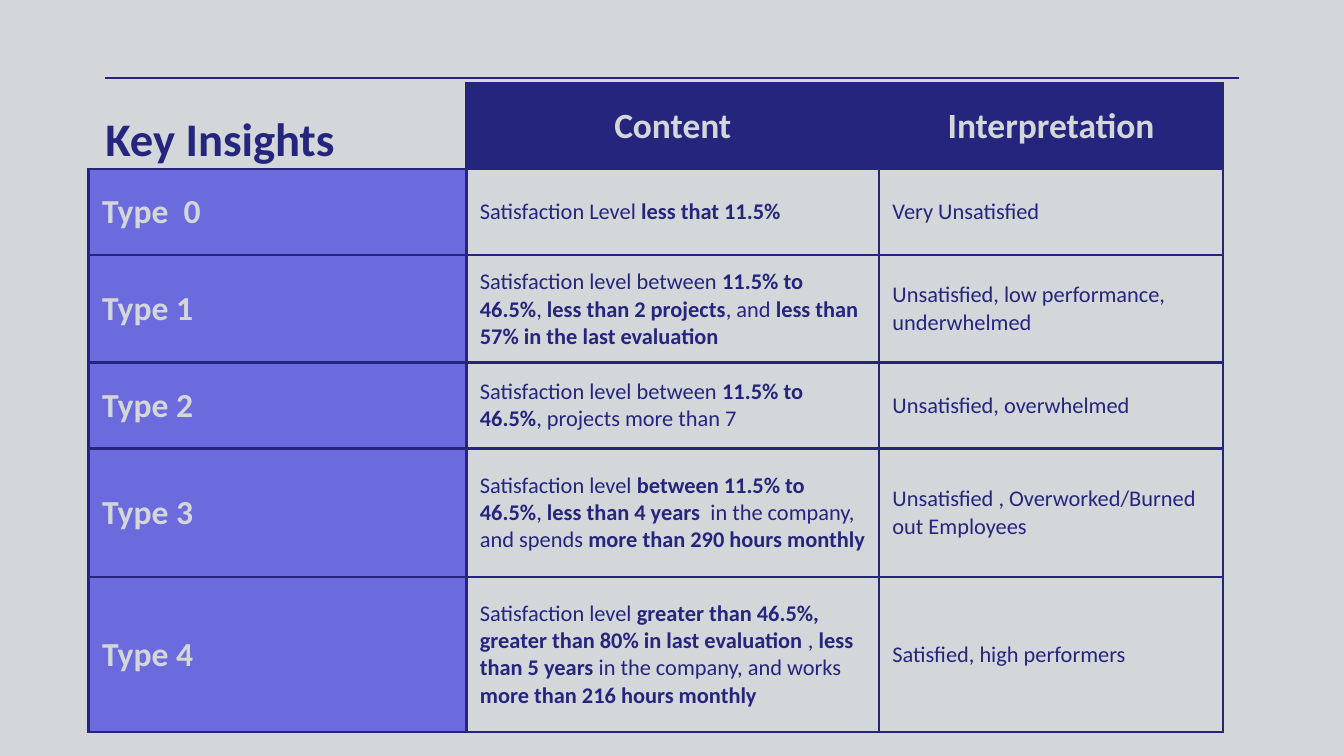
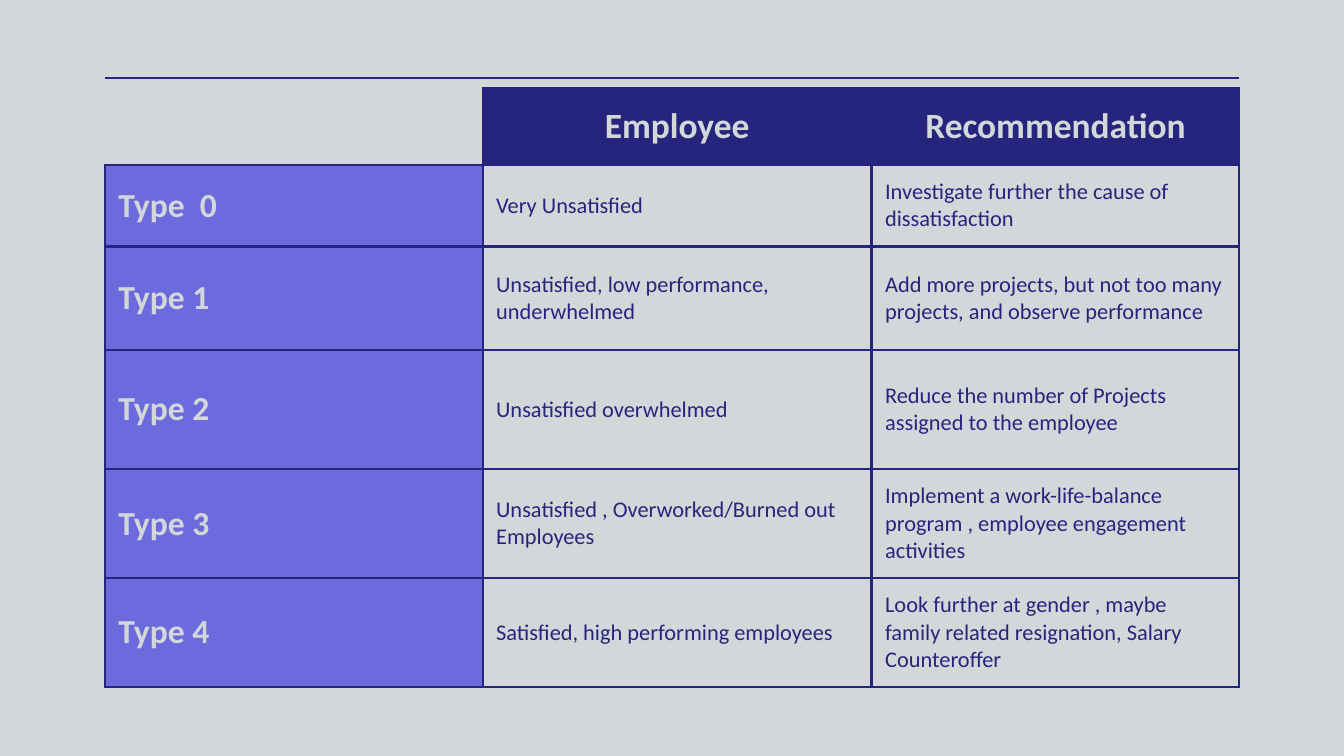
"""Build two slides of employee satisfaction types as tables."""
from dataclasses import dataclass

from lxml.etree import SubElement
from pptx import Presentation
from pptx.dml.color import RGBColor as Color
from pptx.enum.text import MSO_ANCHOR as Anchor, PP_ALIGN as Align
from pptx.enum.shapes import MSO_CONNECTOR as Connector
from pptx.oxml.ns import qn
from pptx.presentation import Presentation as Deck
from pptx.slide import Slide
from pptx.table import _Cell as Cell
from pptx.text.text import _Paragraph as Paragraph
from pptx.util import Pt


@dataclass(frozen=True)
class Theme:
    paper: str = "D4D7D9"
    ink: str = "25257E"
    accent: str = "6B6BDE"
    font: str = "Calibri"
    title_size: float = 25
    header_size: float = 19
    label_size: float = 18
    body_size: float = 12
    rule: float = 1.5
    padding: float = 7.2


@dataclass(frozen=True)
class TextStyle:
    size: float
    color: str
    bold: bool = False
    align: Align = Align.LEFT


@dataclass(frozen=True)
class CellStyle:
    text: TextStyle
    fill: str | None = None
    borders: str = "LRTB"


@dataclass(frozen=True)
class TypeTable:
    left: float
    top: float
    height: float
    columns: tuple[float, ...]
    rows: tuple[float, ...]
    headers: tuple[str, str]
    body: tuple[tuple[str, str], ...]
    title: str = ""


THEME = Theme()
TITLE = TextStyle(THEME.title_size, THEME.ink, True)
HEADER = CellStyle(TextStyle(THEME.header_size, THEME.paper, True, Align.CENTER), THEME.ink)
LABEL = CellStyle(TextStyle(THEME.label_size, THEME.paper, True), THEME.accent)
BODY = CellStyle(TextStyle(THEME.body_size, THEME.ink))
CORNER = CellStyle(BODY.text, borders="RB")
LABELS = ("Type  0", "Type 1", "Type 2", "Type 3", "Type 4")
CONTENT_LEFT, CONTENT_WIDTH = 56.5, 607.3

TABLES = (
    TypeTable(
        left=47.5, top=44.7, height=353.5,
        columns=(202.4, 221, 184.3),
        rows=(46, 46, 54.7, 46, 69, 82.8),
        headers=("Content", "Interpretation"),
        title="Key Insights",
        body=(
            ("Satisfaction Level **less that 11.5%**", "Very Unsatisfied"),
            ("Satisfaction level between **11.5% to 46.5%**, **less than 2 projects**, and "
             "**less than 57% in the last evaluation**",
             "Unsatisfied, low performance, underwhelmed"),
            ("Satisfaction level between **11.5% to 46.5%**, projects more than 7",
             "Unsatisfied, overwhelmed"),
            ("Satisfaction level **between 11.5% to 46.5%**, **less than 4 years  **"
             "in the company, and spends **more than 290 hours monthly**",
             "Unsatisfied , Overworked/Burned out Employees"),
            ("Satisfaction level **greater than 46.5%, greater than 80% in last evaluation **, "
             "**less than 5 years **in the company, and works **more than 216 hours monthly**",
             "Satisfied, high performers"),
        ),
    ),
    TypeTable(
        left=56.2, top=47.3, height=333.4,
        columns=(202.4, 208.4, 196.9),
        rows=(41, 42.5, 55.4, 64, 57.6, 57.6),
        headers=("Employee", "Recommendation"),
        body=(
            ("Very Unsatisfied", "Investigate further the cause of dissatisfaction"),
            ("Unsatisfied, low performance, underwhelmed",
             "Add more projects, but not too many projects, and observe performance"),
            ("Unsatisfied overwhelmed", "Reduce the number of Projects assigned to the employee"),
            ("Unsatisfied , Overworked/Burned out Employees",
             "Implement a work-life-balance program , employee engagement activities"),
            ("Satisfied, high performing employees",
             "Look further at gender , maybe family related resignation, Salary Counteroffer"),
        ),
    ),
)


def apply(target: object, values: dict[str, object]) -> None:
    for name, value in values.items():
        setattr(target, name, value)


def write(para: Paragraph, text: str, style: TextStyle) -> None:
    para.alignment = style.align
    for index, part in enumerate(text.split("**")):
        if part:
            span = para.add_run()
            span.text = part
            apply(span.font, {"name": THEME.font, "size": Pt(style.size),
                              "bold": style.bold or index % 2 == 1})
            span.font.color.rgb = Color.from_string(style.color)


def draw_borders(cell: Cell, sides: str) -> None:
    properties = cell._tc.get_or_add_tcPr()
    for side in "LRTB":
        line = SubElement(properties, qn(f"a:ln{side}"), w=str(Pt(THEME.rule)))
        if side in sides:
            fill = SubElement(line, qn("a:solidFill"))
            SubElement(fill, qn("a:srgbClr"), val=THEME.ink)
        else:
            SubElement(line, qn("a:noFill"))


def fill_cell(cell: Cell, text: str, style: CellStyle) -> None:
    margins = {f"margin_{side}": Pt(THEME.padding) for side in ("left", "right", "top", "bottom")}
    apply(cell, {"vertical_anchor": Anchor.MIDDLE, **margins})
    draw_borders(cell, style.borders)
    if style.fill:
        cell.fill.solid()
        cell.fill.fore_color.rgb = Color.from_string(style.fill)
    else:
        cell.fill.background()
    write(cell.text_frame.paragraphs[0], text, style.text)


def draw_table(page: Slide, content: TypeTable) -> None:
    frame = page.shapes.add_table(
        len(content.rows), len(content.columns), Pt(content.left), Pt(content.top),
        Pt(sum(content.columns)), Pt(content.height))
    table = frame.table
    apply(table, {"first_row": False, "horz_banding": False})
    for column, width in zip(table.columns, content.columns):
        column.width = Pt(width)
    for row, height in zip(table.rows, content.rows):
        row.height = Pt(height)
    frame.height = Pt(content.height)
    grid = [("", *content.headers)]
    grid += [(label, *texts) for label, texts in zip(LABELS, content.body)]
    for row_index, texts in enumerate(grid):
        styles = (LABEL, BODY, BODY) if row_index else (CORNER, HEADER, HEADER)
        for column_index, (text, style) in enumerate(zip(texts, styles)):
            fill_cell(table.cell(row_index, column_index), text, style)


def draw_title(page: Slide, text: str) -> None:
    box = page.shapes.add_textbox(Pt(CONTENT_LEFT), Pt(57.6), Pt(CONTENT_WIDTH), Pt(32.4))
    apply(box.text_frame, {"word_wrap": True, "vertical_anchor": Anchor.MIDDLE,
                           "margin_left": 0, "margin_right": 0,
                           "margin_top": 0, "margin_bottom": 0})
    write(box.text_frame.paragraphs[0], text, TITLE)


def draw_rule(page: Slide) -> None:
    top = Pt(41.8)
    rule = page.shapes.add_connector(
        Connector.STRAIGHT, Pt(CONTENT_LEFT), top, Pt(CONTENT_LEFT + CONTENT_WIDTH), top)
    rule.line.width = Pt(THEME.rule)
    rule.line.color.rgb = Color.from_string(THEME.ink)
    SubElement(rule._element.spPr, qn("a:effectLst"))


def add_page(deck: Deck, content: TypeTable) -> None:
    page = deck.slides.add_slide(deck.slide_layouts[6])
    page.background.fill.solid()
    page.background.fill.fore_color.rgb = Color.from_string(THEME.paper)
    draw_rule(page)
    if content.title:
        draw_title(page, content.title)
    draw_table(page, content)


def main() -> None:
    deck = Presentation()
    apply(deck, {"slide_width": Pt(720), "slide_height": Pt(405)})
    for content in TABLES:
        add_page(deck, content)
    deck.save("out.pptx")


if __name__ == "__main__":
    main()
